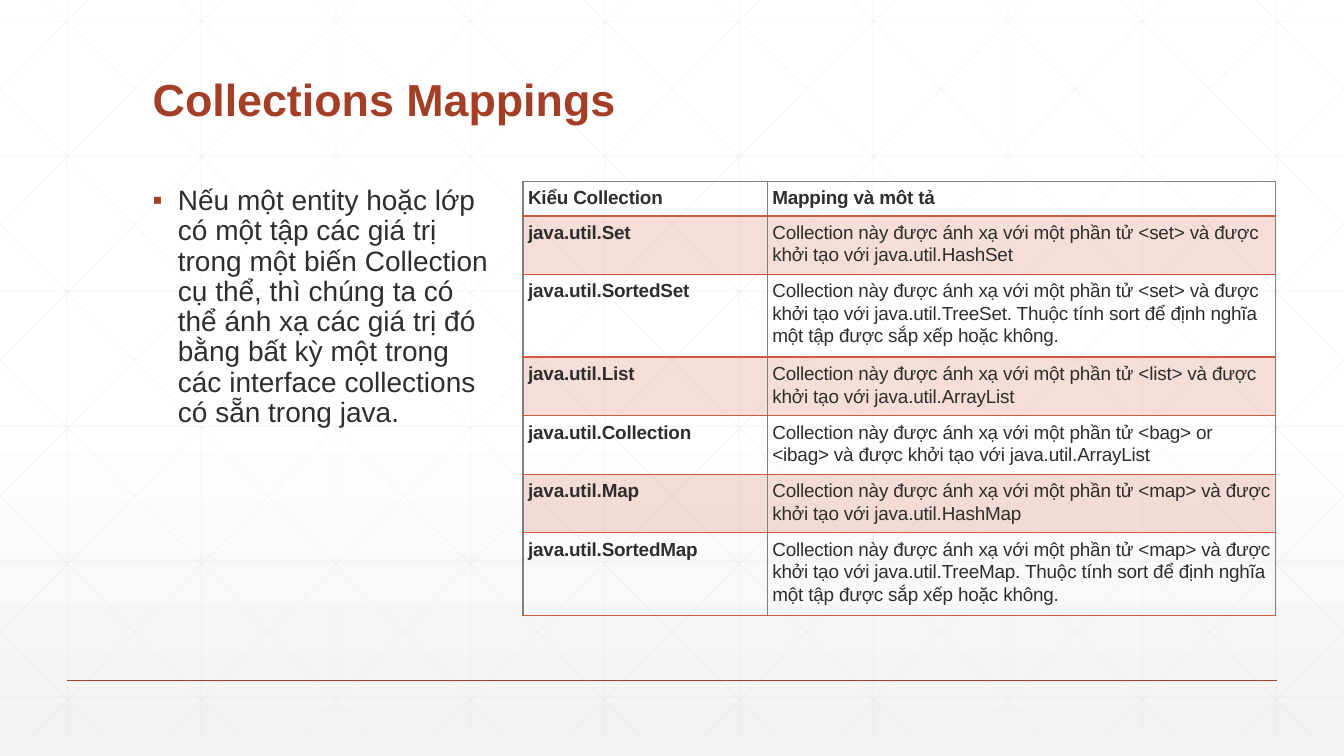
from copy import deepcopy
from typing import NamedTuple

from lxml.etree import SubElement
from pptx import Presentation
from pptx.dml.color import RGBColor
from pptx.enum.shapes import MSO_CONNECTOR as Connector
from pptx.oxml import parse_xml
from pptx.oxml.ns import nsdecls, qn
from pptx.slide import Slide
from pptx.table import _Cell as Cell
from pptx.text.text import TextFrame
from pptx.util import Pt

WHITE = RGBColor(0xFF, 0xFF, 0xFF)
MIST = RGBColor(0xF2, 0xF2, 0xF2)
GRID = RGBColor(0xD9, 0xD9, 0xD9)
BORDER = RGBColor(0x7F, 0x7F, 0x7F)
RUST = RGBColor(0xA4, 0x3F, 0x27)
ORANGE = RGBColor(0xD1, 0x5A, 0x3E)
INK = RGBColor(0x2D, 0x2E, 0x2D)

FONT = "Arial"
WIDTH, HEIGHT = 960, 540
GRID_STEP, GRID_BOTTOM = 96, 525
TITLE = "Collections Mappings"
INTRO = ("Nếu một entity hoặc lớp có một tập các giá trị trong một biến Collection "
         "cụ thể, thì chúng ta có thể ánh xạ các giá trị đó bằng bất kỳ một trong "
         "các interface collections có sẵn trong java.")


class Stroke(NamedTuple):
    x1: float
    y1: float
    x2: float
    y2: float


class Box(NamedTuple):
    left: float
    top: float
    width: float
    height: float


class Edge(NamedTuple):
    side: str
    color: RGBColor
    width: float


class Mapping(NamedTuple):
    collection: str
    description: str
    height: float


MAPPED = "Collection này được ánh xạ với một phần tử"
STARTED = "và được khởi tạo với java.util."
SORT = "Thuộc tính sort để định nghĩa một tập được sắp xếp hoặc không."
MAPPINGS = [
    Mapping("Kiểu Collection", "Mapping và môt tả", 23.6),
    Mapping("java.util.Set", f"{MAPPED} <set> {STARTED}HashSet", 39.6),
    Mapping("java.util.SortedSet", f"{MAPPED} <set> {STARTED}TreeSet. {SORT}", 55.7),
    Mapping("java.util.List", f"{MAPPED} <list> {STARTED}ArrayList", 39.6),
    Mapping("java.util.Collection", f"{MAPPED} <bag> or <ibag> {STARTED}ArrayList", 39.6),
    Mapping("java.util.Map", f"{MAPPED} <map> {STARTED}HashMap", 39.6),
    Mapping("java.util.SortedMap", f"{MAPPED} <map> {STARTED}TreeMap. {SORT}", 55.7),
]


def grid_strokes() -> list[Stroke]:
    strokes = [Stroke(x, 0, x, GRID_BOTTOM) for x in range(48, WIDTH, GRID_STEP)]
    for k in range(6):
        y = 15.1 + 96.5 * k
        strokes.append(Stroke(0, y, WIDTH, y))
    # Diagonals are clipped to the slide, then mirrored
    for k in range(-5, 10):
        x = 33 + GRID_STEP * k
        start, end = max(x, 0), min(x + GRID_BOTTOM * 0.99, WIDTH)
        y1, y2 = (start - x) / 0.99, (end - x) / 0.99
        strokes.append(Stroke(start, y1, end, y2))
        strokes.append(Stroke(WIDTH - start, y1, WIDTH - end, y2))
    return strokes


def set_alpha(fill_parent, percent: int) -> None:
    for color in fill_parent.iter(qn("a:srgbClr")):
        SubElement(color, qn("a:alpha"), val=str(percent * 1000))


def draw_stroke(slide: Slide, stroke: Stroke, color: RGBColor, width: float,
                alpha: int = 100) -> None:
    line = slide.shapes.add_connector(Connector.STRAIGHT, *(Pt(v) for v in stroke))
    line.line.color.rgb = color
    line.line.width = Pt(width)
    properties = line._element.spPr
    if alpha < 100:
        set_alpha(properties, alpha)
    SubElement(properties, qn("a:effectLst"))


def write(frame: TextFrame, text: str, size: float, color: RGBColor,
          bold: bool, spacing: float):
    frame.word_wrap = True
    frame.text = text
    paragraph = frame.paragraphs[0]
    paragraph.line_spacing = spacing
    font = paragraph.runs[0].font
    font.name, font.size, font.bold = FONT, Pt(size), bold
    font.color.rgb = color
    return paragraph


def add_text(slide: Slide, box: Box, text: str, size: float, color: RGBColor,
             bold: bool = False):
    frame = slide.shapes.add_textbox(*(Pt(v) for v in box)).text_frame
    return write(frame, text, size, color, bold, 0.9)


def add_bullet(paragraph, mark: str, color: RGBColor, indent: float) -> None:
    properties = paragraph._p.get_or_add_pPr()
    properties.set("marL", str(Pt(indent)))
    properties.set("indent", str(-Pt(indent)))
    bullet_color = SubElement(properties, qn("a:buClr"))
    SubElement(bullet_color, qn("a:srgbClr"), val=str(color))
    SubElement(properties, qn("a:buFont"), typeface=FONT)
    SubElement(properties, qn("a:buChar"), char=mark)


def set_edges(cell: Cell, edges: list[Edge]) -> None:
    properties = cell._tc.get_or_add_tcPr()
    for position, edge in enumerate(edges):
        properties.insert(position, parse_xml(
            f'<a:ln{edge.side} {nsdecls("a")} w="{Pt(edge.width)}"><a:solidFill>'
            f'<a:srgbClr val="{edge.color}"/></a:solidFill></a:ln{edge.side}>'))


def format_cell(cell: Cell, text: str, bold: bool, row: int) -> None:
    cell.margin_left = cell.margin_right = Pt(3.6)
    cell.margin_top = cell.margin_bottom = Pt(3.6)
    paragraph = write(cell.text_frame, text, 13.5, INK, bold, 1.07)
    paragraph.runs[0].font._element.set("spc", "-10")
    if row % 2:
        cell.fill.solid()
        cell.fill.fore_color.rgb = ORANGE
        set_alpha(cell._tc.tcPr, 20)
    else:
        cell.fill.background()
    top = {0: Edge("T", BORDER, 1), 1: Edge("T", ORANGE, 2)}
    set_edges(cell, [Edge("L", BORDER, 1), Edge("R", BORDER, 1),
                     top.get(row, Edge("T", ORANGE, 1)),
                     Edge("B", ORANGE, 1 if row else 2)])


def add_mappings(slide: Slide, box: Box, column_widths: list[float]) -> None:
    table = slide.shapes.add_table(len(MAPPINGS), 2, *(Pt(v) for v in box)).table
    table.first_row = table.horz_banding = False
    for column, width in zip(table.columns, column_widths):
        column.width = Pt(width)
    for row, mapping in enumerate(MAPPINGS):
        table.rows[row].height = Pt(mapping.height)
        format_cell(table.cell(row, 0), mapping.collection, True, row)
        format_cell(table.cell(row, 1), mapping.description, row == 0, row)


def paint_background(slide: Slide) -> None:
    fill = slide.background.fill
    fill.gradient()
    fill.gradient_angle = 270
    stops = slide.element.xpath(".//a:gsLst")[0]
    stops.insert(0, deepcopy(stops[0]))
    shades = [(0, WHITE), (0.53, WHITE), (1, MIST)]
    for stop, (position, color) in zip(fill.gradient_stops, shades):
        stop.position = position
        stop.color.rgb = color


def main() -> None:
    deck = Presentation()
    deck.slide_width, deck.slide_height = Pt(WIDTH), Pt(HEIGHT)
    slide = deck.slides.add_slide(deck.slide_layouts[6])

    # Backdrop
    paint_background(slide)
    for stroke in grid_strokes():
        draw_stroke(slide, stroke, GRID, 0.5, alpha=25)
    draw_stroke(slide, Stroke(48, 486, 912, 486), RUST, 1)

    # Title and introduction
    add_text(slide, Box(102, 52, 756, 45), TITLE, 32, RUST, bold=True)
    intro = add_text(slide, Box(102, 129.6, 262, 312), INTRO, 20, INK)
    add_bullet(intro, "▪", RUST, 18)

    # Table of mappings
    add_mappings(slide, Box(373.6, 129.6, 537.5, 293.4), [174.5, 363])

    deck.save("out.pptx")


if __name__ == "__main__":
    main()
